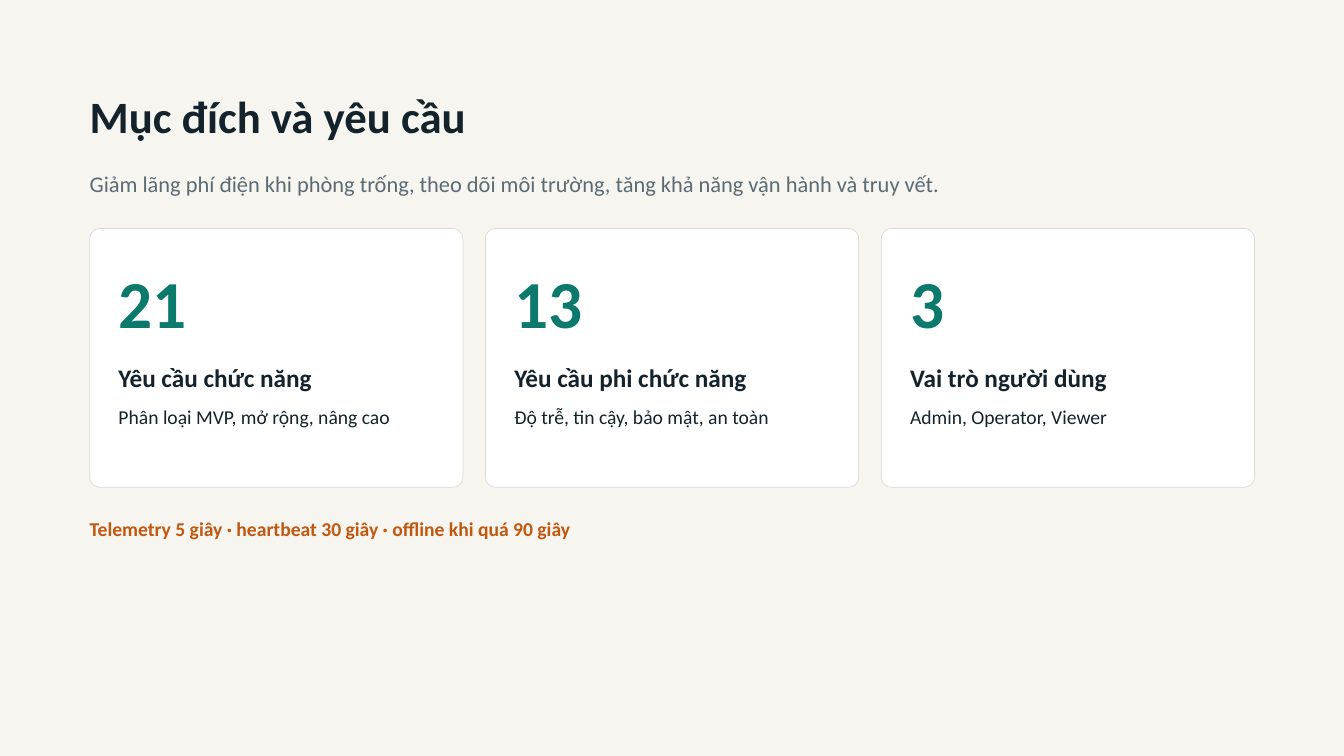
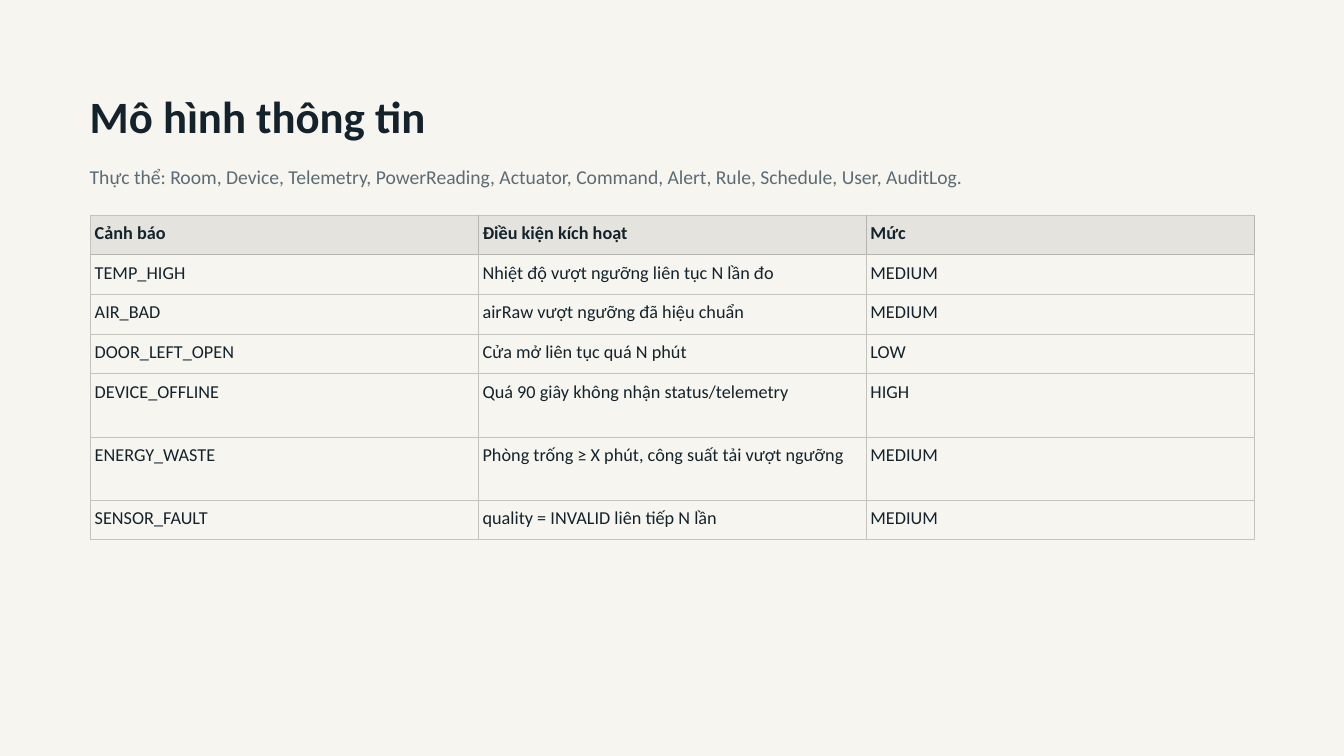
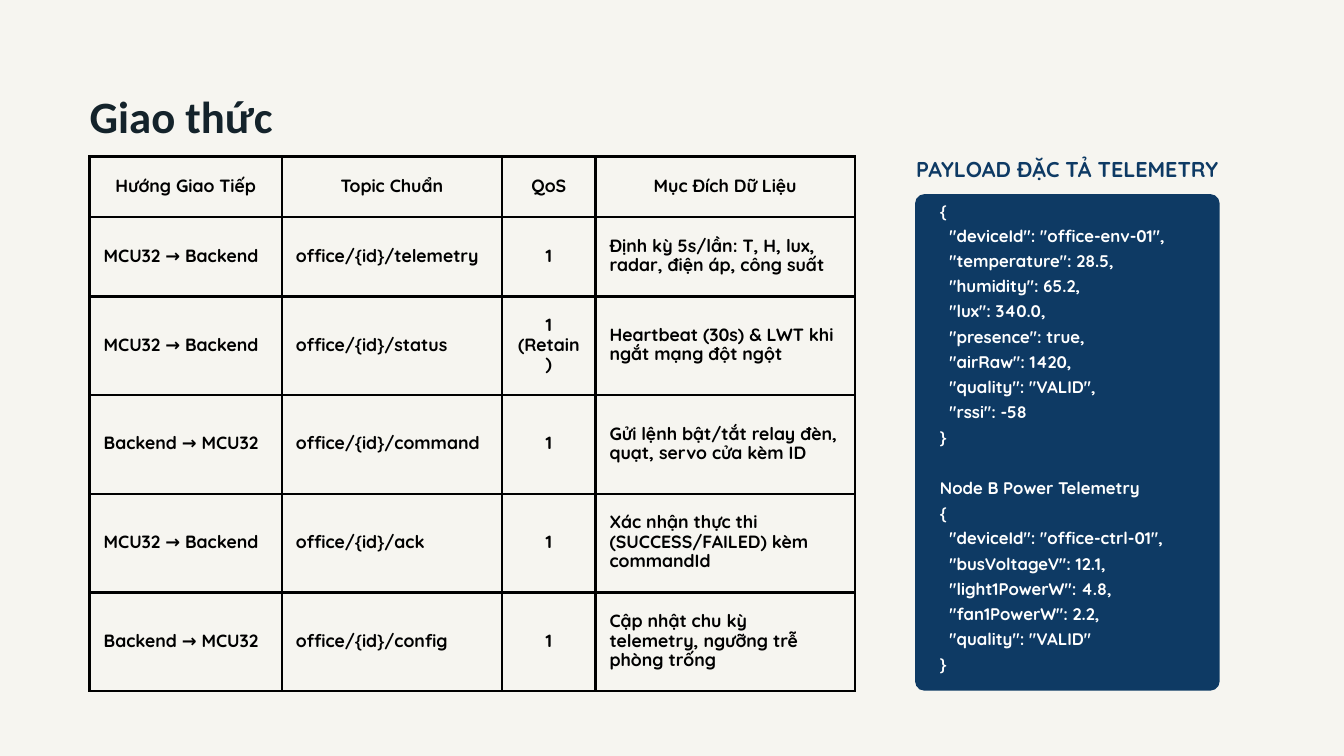
"""Build three slides on the requirements, data model and protocol of an office monitoring system."""
from lxml import etree
from pptx import Presentation
from pptx import util as u
from pptx.dml.color import RGBColor
from pptx.enum import shapes, text
from pptx.oxml import ns

PAPER = RGBColor(0xF6, 0xF5, 0xF0)
INK = RGBColor(0x14, 0x23, 0x2B)
MUTED = RGBColor(0x5C, 0x6B, 0x73)
TEAL = RGBColor(0x0B, 0x7A, 0x6C)
ORANGE = RGBColor(0xC2, 0x57, 0x0F)
NAVY = RGBColor(0x0E, 0x3A, 0x64)
WHITE = RGBColor(0xFF, 0xFF, 0xFF)
BLACK = RGBColor(0x00, 0x00, 0x00)
CARD_LINE = RGBColor(0xDC, 0xDA, 0xD0)
HEAD_FILL = RGBColor(0xE4, 0xE3, 0xDE)
HEAD_GRID = RGBColor(0xB6, 0xB5, 0xB1)
GRID = RGBColor(0xC4, 0xC4, 0xBF)

LEFT, CENTER, JUSTIFY = (text.PP_ALIGN.LEFT, text.PP_ALIGN.CENTER,
                         text.PP_ALIGN.JUSTIFY)
TOP, MIDDLE = text.MSO_ANCHOR.TOP, text.MSO_ANCHOR.MIDDLE

MARGIN = 3.39
WIDTH = 45.34


def write(box, lines, size, color, spacing, bold=False, name="Calibri",
          align=LEFT, anchor=TOP, inset=0):
    """Write lines into a text frame or a table cell."""
    for side in ("left", "top", "right", "bottom"):
        setattr(box, f"margin_{side}", u.Cm(inset))
    box.vertical_anchor = anchor
    tf = getattr(box, "text_frame", box)
    tf.word_wrap = True
    fmt = {"size": u.Pt(size), "bold": bold, "name": name}
    for i, line in enumerate(lines.split("\n")):
        p = tf.paragraphs[0] if i == 0 else tf.add_paragraph()
        p.alignment = align
        p.line_spacing = u.Pt(spacing)
        r = p.add_run()
        r.text = line
        for key, value in fmt.items():
            setattr(r.font, key, value)
        r.font.color.rgb = color


def add_grid(s, rows, left, top, widths, heights, line_pt):
    """Add a plain table and yield each cell with its place and a border painter."""
    frame = s.shapes.add_table(len(rows), len(widths), u.Cm(left), u.Cm(top),
                               u.Cm(sum(widths)), u.Cm(sum(heights)))
    tbl = frame.table
    tbl.first_row = tbl.horz_banding = False
    for col, width in zip(tbl.columns, widths):
        col.width = u.Cm(width)
    for row, height in zip(tbl.rows, heights):
        row.height = u.Cm(height)
    for i, row in enumerate(rows):
        for j, value in enumerate(row):
            cell = tbl.cell(i, j)
            cell.fill.background()
            head, light = (BLACK, BLACK) if line_pt > 1 else (HEAD_GRID, GRID)
            colors = {"lnL": head if i == 0 and j > 0 else light,
                      "lnR": head if i == 0 else light,
                      "lnT": head if i == 1 else light,
                      "lnB": head if i == 0 else light}
            tc_pr = cell._tc.get_or_add_tcPr()
            for k, (tag, color) in enumerate(colors.items()):
                ln = etree.Element(ns.qn(f"a:{tag}"), w=str(u.Pt(line_pt)))
                fill = etree.SubElement(ln, ns.qn("a:solidFill"))
                etree.SubElement(fill, ns.qn("a:srgbClr"), val=str(color))
                tc_pr.insert(k, ln)
            yield i, j, cell, value


prs = Presentation()
prs.slide_width, prs.slide_height = u.Cm(50.8), u.Cm(28.58)
bg = prs.slide_master.background.fill
bg.solid()
bg.fore_color.rgb = PAPER

layout = prs.slide_layouts[5]
sp = layout.placeholders[0]
sp.left, sp.top, sp.width, sp.height = map(u.Cm, (MARGIN, 3.43, WIDTH, 2))

slides = []
for title in ("Mục đích và yêu cầu", "Mô hình thông tin", "Giao thức"):
    s = prs.slides.add_slide(layout)
    tf = s.shapes.title.text_frame
    tf.auto_size = text.MSO_AUTO_SIZE.NONE
    write(tf, title, 48, INK, 55.2, True)
    slides.append(s)

s = slides[0]
for line, top, size, color, spacing, bold in (
        ("Giảm lãng phí điện khi phòng trống, theo dõi môi trường, "
         "tăng khả năng vận hành và truy vết.", 6.25, 24, MUTED, 33.6, False),
        ("Telemetry 5 giây · heartbeat 30 giây · offline khi quá 90 giây",
         19.38, 21, ORANGE, 29.4, True)):
    tb = s.shapes.add_textbox(u.Cm(MARGIN), u.Cm(top), u.Cm(WIDTH), u.Cm(1.3))
    write(tb.text_frame, line, size, color, spacing, bold)

cards = (
    ("21", "Yêu cầu chức năng", "Phân loại MVP, mở rộng, nâng cao"),
    ("13", "Yêu cầu phi chức năng", "Độ trễ, tin cậy, bảo mật, an toàn"),
    ("3", "Vai trò người dùng", "Admin, Operator, Viewer"),
)
card_styles = ((9.37, 4.01, 72, TEAL, 100.8, True),
               (13.69, 1.24, 27, INK, 32.4, True),
               (15.16, 1.24, 21, INK, 29.4, False))
for i, card in enumerate(cards):
    left = MARGIN + i * 14.96
    sp = s.shapes.add_shape(shapes.MSO_SHAPE.ROUNDED_RECTANGLE, u.Cm(left),
                            u.Cm(8.64), u.Cm(14.11), u.Cm(9.78))
    sp.adjustments[0] = 0.04
    sp.shadow.inherit = False
    sp.fill.solid()
    sp.fill.fore_color.rgb = WHITE
    sp.line.color.rgb = CARD_LINE
    sp.line.width = u.Pt(0.75)
    for line, (top, height, size, color, spacing, bold) in zip(card, card_styles):
        tb = s.shapes.add_textbox(u.Cm(left + 1.09), u.Cm(top),
                                  u.Cm(12.29), u.Cm(height))
        write(tb.text_frame, line, size, color, spacing, bold)

s = slides[1]
tb = s.shapes.add_textbox(u.Cm(MARGIN), u.Cm(6.07), u.Cm(WIDTH), u.Cm(1.24))
write(tb.text_frame, "Thực thể: Room, Device, Telemetry, PowerReading, Actuator, "
      "Command, Alert, Rule, Schedule, User, AuditLog.", 21, MUTED, 29.4)

alerts = (
    ("Cảnh báo", "Điều kiện kích hoạt", "Mức"),
    ("TEMP_HIGH", "Nhiệt độ vượt ngưỡng liên tục N lần đo", "MEDIUM"),
    ("AIR_BAD", "airRaw vượt ngưỡng đã hiệu chuẩn", "MEDIUM"),
    ("DOOR_LEFT_OPEN", "Cửa mở liên tục quá N phút", "LOW"),
    ("DEVICE_OFFLINE", "Quá 90 giây không nhận status/telemetry", "HIGH"),
    ("ENERGY_WASTE", "Phòng trống ≥ X phút, công suất tải vượt ngưỡng", "MEDIUM"),
    ("SENSOR_FAULT", "quality = INVALID liên tiếp N lần", "MEDIUM"),
)
heights = [1.5] * 4 + [2.39] * 2 + [1.5]
for i, j, cell, value in add_grid(s, alerts, 3.43, 8.13, [14.66] * 3, heights, 1):
    if i == 0:
        cell.fill.solid()
        cell.fill.fore_color.rgb = HEAD_FILL
    write(cell, value, 19.5, INK, 27.3, i == 0, inset=0.15)

s = slides[2]
topics = (
    ("Hướng Giao Tiếp", "Topic Chuẩn", "QoS", "Mục Đích Dữ Liệu"),
    ("MCU32 → Backend", "office/{id}/telemetry", "1",
     "Định kỳ 5s/lần: T, H, lux, radar, điện áp, công suất"),
    ("MCU32 → Backend", "office/{id}/status", "1 (Retain)",
     "Heartbeat (30s) & LWT khi ngắt mạng đột ngột"),
    ("Backend → MCU32", "office/{id}/command", "1",
     "Gửi lệnh bật/tắt relay đèn, quạt, servo cửa kèm ID"),
    ("MCU32 → Backend", "office/{id}/ack", "1",
     "Xác nhận thực thi (SUCCESS/FAILED) kèm commandId"),
    ("Backend → MCU32", "office/{id}/config", "1",
     "Cập nhật chu kỳ telemetry, ngưỡng trễ phòng trống"),
)
widths = [7.26, 8.33, 3.53, 9.8]
heights = [2.29, 3] + [3.73] * 4
aligns = (JUSTIFY, JUSTIFY, CENTER, LEFT)
for i, j, cell, value in add_grid(s, topics, MARGIN, 5.92, widths, heights, 3):
    write(cell, value, 19, BLACK, 20.9, True, "Quicksand",
          aligns[j] if i else CENTER, MIDDLE, 0.53)

payload = """{
  "deviceId": "office-env-01",
  "temperature": 28.5,
  "humidity": 65.2,
  "lux": 340.0,
  "presence": true,
  "airRaw": 1420,
  "quality": "VALID",
  "rssi": -58
}
Node B Power Telemetry
{
  "deviceId": "office-ctrl-01",
  "busVoltageV": 12.1,
  "light1PowerW": 4.8,
  "fan1PowerW": 2.2,
  "quality": "VALID"
}"""
sp = s.shapes.add_shape(shapes.MSO_SHAPE.ROUNDED_RECTANGLE, u.Cm(34.59),
                        u.Cm(7.34), u.Cm(11.51), u.Cm(18.77))
sp.adjustments[0] = 0.03
sp.shadow.inherit = False
sp.fill.solid()
sp.fill.fore_color.rgb = NAVY
sp.line.fill.background()
tb = s.shapes.add_textbox(u.Cm(35.38), u.Cm(6.76), u.Cm(10.74), u.Cm(19.35))
write(tb.text_frame, payload, 18, WHITE, 27, True, "Quicksand",
      anchor=MIDDLE, inset=0.15)
for p in tb.text_frame.paragraphs:
    if p.text.startswith("Node B"):
        p.space_before = u.Pt(27)
tb = s.shapes.add_textbox(u.Cm(32.89), u.Cm(5.89), u.Cm(14.91), u.Cm(0.99))
write(tb.text_frame, "PAYLOAD ĐẶC TẢ TELEMETRY", 23, NAVY, 27.6, True,
      "Quicksand", CENTER)

prs.save("out.pptx")
